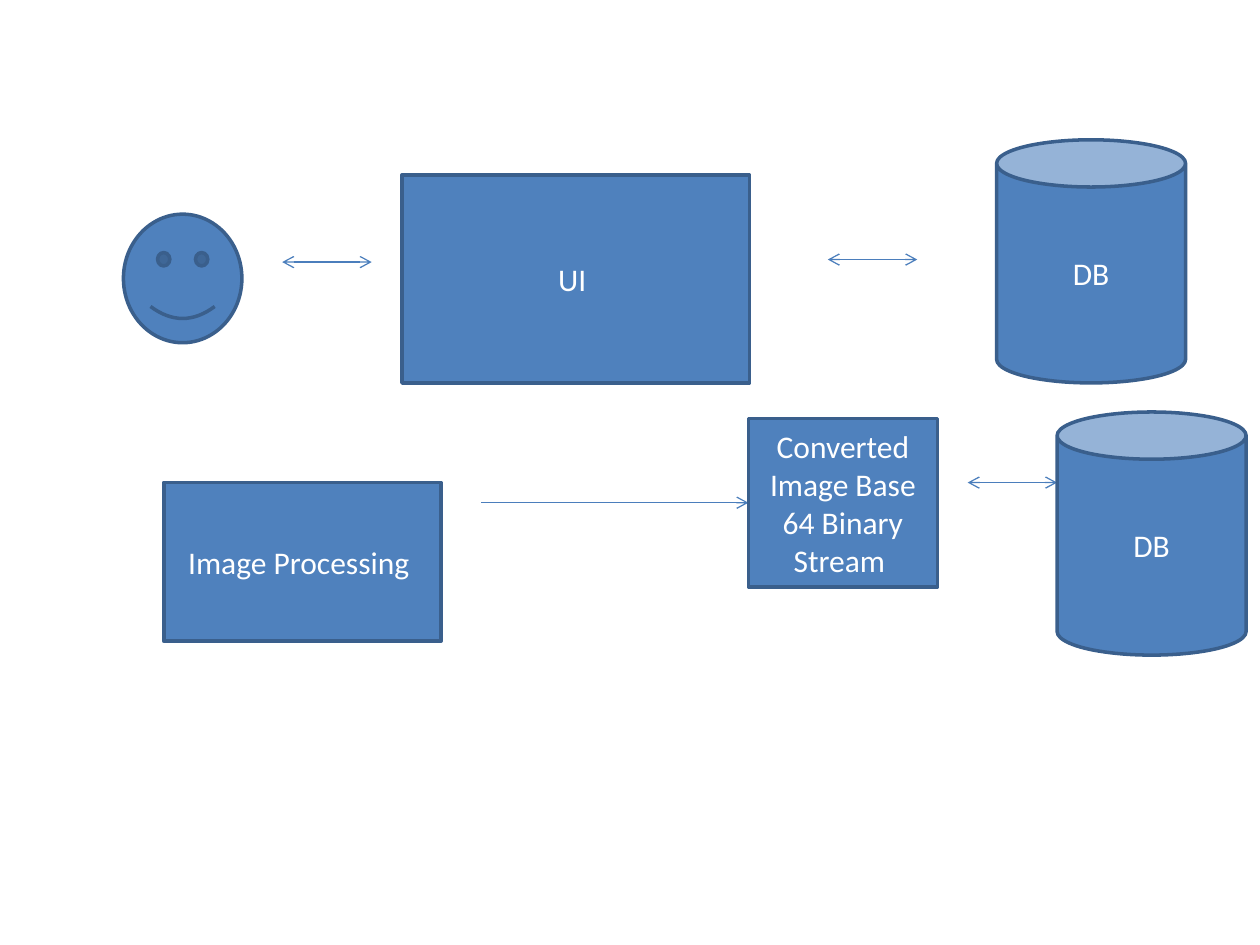
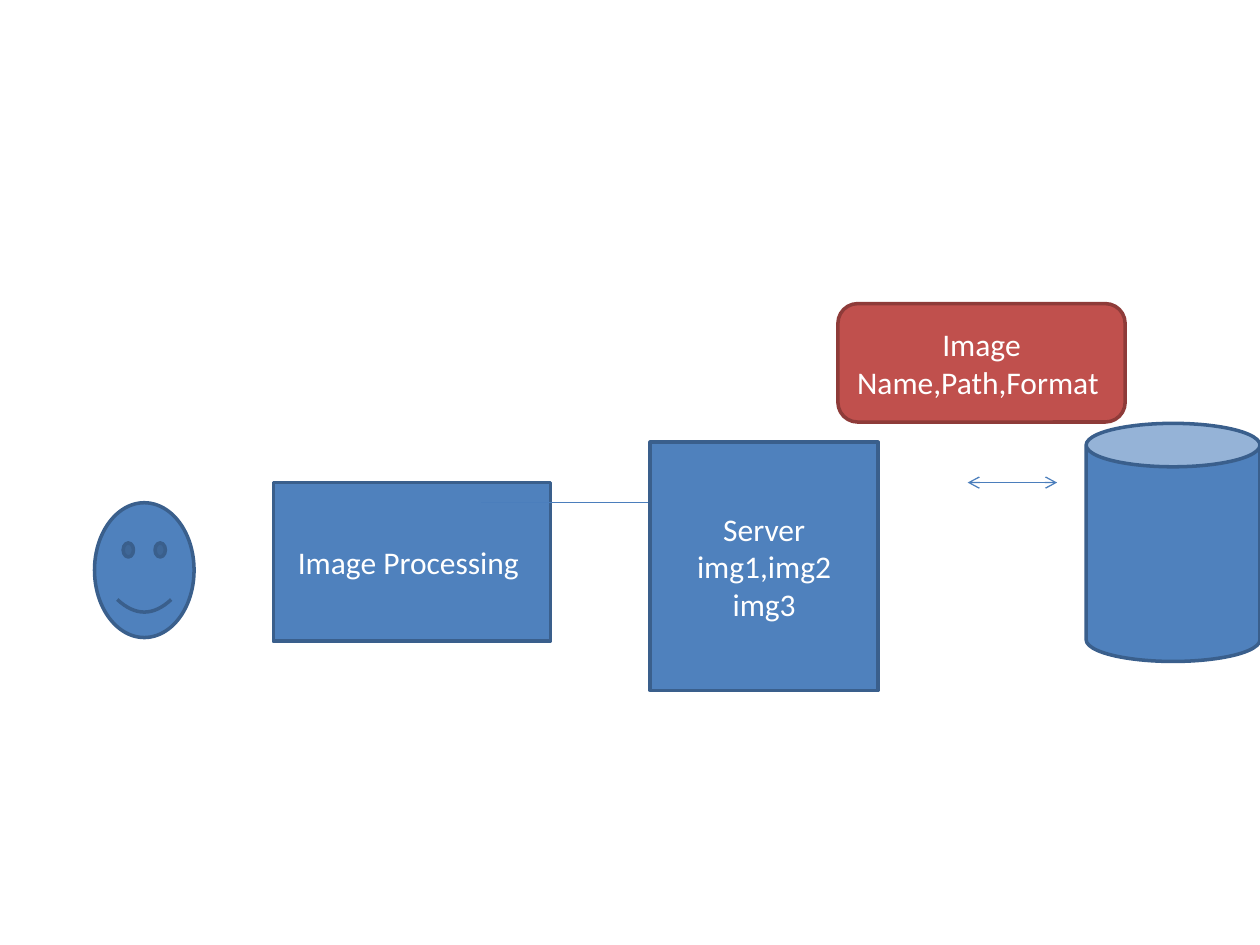
from dataclasses import dataclass

from lxml.etree import SubElement
from pptx import Presentation
from pptx.dml.color import RGBColor
from pptx.enum.shapes import MSO_CONNECTOR, MSO_SHAPE
from pptx.enum.text import MSO_ANCHOR, PP_ALIGN
from pptx.oxml.ns import qn
from pptx.shapes.autoshape import Shape
from pptx.shapes.connector import Connector
from pptx.slide import Slide
from pptx.util import Emu, Pt

# Shared look
PX = 9144  # EMU per px, 100 px to the inch
FONT = "Calibri"
COLORS = {
    "blue": "4F81BD",
    "blue_edge": "3A5F8C",
    "red": "C0504D",
    "red_edge": "8E3B39",
    "arrow": "4B7EBC",
    "text": "FFFFFF",
}
LEFT_SIDE = 1


@dataclass(frozen=True)
class Node:
    kind: MSO_SHAPE
    left: int
    top: int
    width: int
    height: int
    text: str = ""
    color: str = "blue"


@dataclass(frozen=True)
class Arrow:
    left: int
    right: int
    y: int
    both_ends: bool = True


def px(n: int) -> Emu:
    return Emu(n * PX)


def rgb(name: str) -> RGBColor:
    return RGBColor.from_string(COLORS[name])


def draw_node(s: Slide, node: Node) -> Shape:
    sp = s.shapes.add_shape(node.kind, px(node.left), px(node.top),
                            px(node.width), px(node.height))
    sp.shadow.inherit = False
    sp.fill.solid()
    sp.fill.fore_color.rgb = rgb(node.color)
    sp.line.color.rgb = rgb(node.color + "_edge")
    sp.line.width = Pt(2)
    if node.text:
        tf = sp.text_frame
        tf.word_wrap = True
        tf.vertical_anchor = MSO_ANCHOR.MIDDLE
        p = tf.paragraphs[0]
        p.alignment = PP_ALIGN.CENTER
        r = p.add_run()
        r.text = node.text
        r.font.name = FONT
        r.font.size = Pt(18)
        r.font.color.rgb = rgb("text")
    return sp


def draw_arrow(s: Slide, arrow: Arrow) -> Connector:
    cx = s.shapes.add_connector(MSO_CONNECTOR.STRAIGHT, px(arrow.left), px(arrow.y),
                                px(arrow.right), px(arrow.y))
    cx.line.color.rgb = rgb("arrow")
    cx.line.width = Pt(0.75)
    ln = cx.line._get_or_add_ln()
    for end in ("a:headEnd", "a:tailEnd") if arrow.both_ends else ("a:tailEnd",):
        SubElement(ln, qn(end), type="arrow")
    SubElement(cx._element.spPr, qn("a:effectLst"))
    return cx


def draw(s: Slide, items: list[Node | Arrow]) -> list[Shape | Connector]:
    return [draw_node(s, i) if isinstance(i, Node) else draw_arrow(s, i) for i in items]


def database(left: int, top: int) -> Node:
    return Node(MSO_SHAPE.CAN, left, top, 150, 193, "DB")


def image_processing(left: int) -> Node:
    return Node(MSO_SHAPE.RECTANGLE, left, 383, 220, 126, "Image Processing ")


# Arrows found on both slides
PROCESSING_ARROW = Arrow(382, 594, 399, both_ends=False)
STORAGE_ARROW = Arrow(768, 839, 383)


def build_binary_flow(s: Slide) -> None:
    draw(s, [
        Node(MSO_SHAPE.RECTANGLE, 319, 139, 276, 165, "UI "),
        Node(MSO_SHAPE.SMILEY_FACE, 98, 170, 94, 102),
        database(791, 111),
        Arrow(224, 295, 208),
        Arrow(657, 728, 206),
        image_processing(130),
    ])
    arrow, converted, *_ = draw(s, [
        PROCESSING_ARROW,
        Node(MSO_SHAPE.RECTANGLE, 594, 332, 150, 134,
             "Converted Image Base 64 Binary Stream "),
        STORAGE_ARROW,
        database(839, 327),
    ])
    arrow.end_connect(converted, LEFT_SIDE)


def build_server_flow(s: Slide) -> None:
    draw(s, [
        image_processing(217),
        PROCESSING_ARROW,
        STORAGE_ARROW,
        Node(MSO_SHAPE.CAN, 862, 336, 138, 189),
        Node(MSO_SHAPE.RECTANGLE, 516, 351, 181, 197, "Server img1,img2 img3"),
        Node(MSO_SHAPE.ROUNDED_RECTANGLE, 665, 241, 228, 94,
             "Image Name,Path,Format ", "red"),
        Node(MSO_SHAPE.SMILEY_FACE, 75, 399, 79, 107),
    ])


def main() -> None:
    prs = Presentation()
    prs.slide_width, prs.slide_height = px(1000), px(750)
    blank = prs.slide_layouts[6]
    for build in (build_binary_flow, build_server_flow):
        build(prs.slides.add_slide(blank))
    prs.save("out.pptx")


if __name__ == "__main__":
    main()
